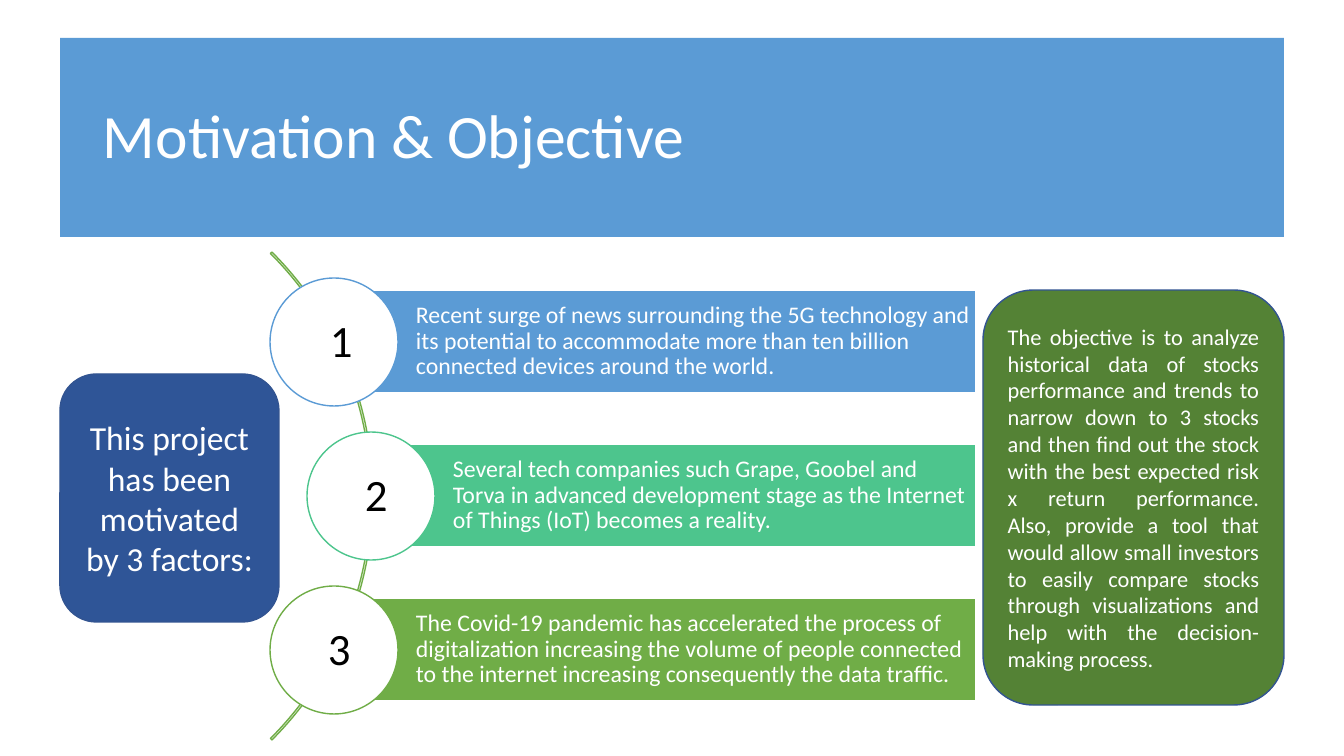
import copy
import pptx
import pptx.util
import pptx.dml.color
import pptx.enum.shapes
import pptx.enum.text
import pptx.oxml.ns

Kind = pptx.enum.shapes.MSO_SHAPE
Align = pptx.enum.text.PP_ALIGN
Anchor = pptx.enum.text.MSO_ANCHOR
scale = 914400 / 100.8  # EMU per px

deck = pptx.Presentation()
deck.slide_width = round(1344 * scale)
deck.slide_height = round(756 * scale)
slide = deck.slides.add_slide(deck.slide_layouts[6])


def draw(kind, box, fill=None, line=None):
    shape = slide.shapes.add_shape(kind, *[round(n * scale) for n in box])
    shape.shadow.inherit = False
    for part, tint in ((shape.fill, fill), (shape.line.fill, line)):
        if tint:
            part.solid()
            part.fore_color.rgb = pptx.dml.color.RGBColor.from_string(tint)
        else:
            part.background()
    if line:
        shape.line.width = pptx.util.Pt(1)
    return shape


def write(text, box=None, shape=None, size=17, tint="FFFFFF", align=Align.LEFT,
          anchor=Anchor.MIDDLE, wrap=True, space=None, inset=(10, 5, 10, 5)):
    if shape is None:
        shape = slide.shapes.add_textbox(*[round(n * scale) for n in box])
    frame = shape.text_frame
    frame.word_wrap = wrap
    frame.vertical_anchor = anchor
    (frame.margin_left, frame.margin_top, frame.margin_right,
     frame.margin_bottom) = [round(n * scale) for n in inset]
    para = frame.paragraphs[0]
    para.text = text
    para.alignment = align
    if space:
        para.line_spacing = space
    for run in para.runs:
        run.font.name = "Calibri"
        run.font.size = pptx.util.Pt(size)
        run.font.color.rgb = pptx.dml.color.RGBColor.from_string(tint)
    # Line breaks take the format of the text
    for gap in para._p.findall(pptx.oxml.ns.qn("a:br")):
        gap.append(copy.deepcopy(para.runs[0]._r.rPr))


# Title band
draw(Kind.RECTANGLE, (60, 38, 1224, 199), "5B9BD5")
write("Motivation & Objective", (93, 66, 1159, 146), size=44, space=0.9)

# Arc behind the factors
arc = draw(Kind.BLOCK_ARC, (-317, 151, 690, 690), line="70AD47")
for i, value in enumerate((189, 27, 0.003)):
    arc.adjustments[i] = value

# Factors: bar colour, indent, left edge of the number, text
rows = [
    ("5B9BD5", 0, 320,
     "Recent surge of news surrounding the 5G technology and its potential to "
     "accommodate more than ten billion connected devices around the world."),
    ("4DC58D", 37, 355,
     "Several tech companies such Grape, Goobel and Torva in advanced "
     "development stage as the Internet of Things (IoT) becomes a reality."),
    ("70AD47", 0, 318,
     "The Covid-19 pandemic has accelerated the process of digitalization "
     "increasing the volume of people connected to the internet increasing "
     "consequently the data traffic."),
]
for i, (tint, shift, left, text) in enumerate(rows):
    top = 290 + 154 * i
    bar = draw(Kind.RECTANGLE, (335 + shift, top, 641 - shift, 103), tint, "FFFFFF")
    write(text, shape=bar, space=0.9, inset=(81, 5, 5, 5))
    draw(Kind.OVAL, (270 + shift, top - 12, 128, 128), "FFFFFF", tint)
    write(str(i + 1), (left, top + 18, 43, 64), size=32, tint="000000",
          anchor=Anchor.TOP, wrap=False)

# Lead-in and objective
lead = draw(Kind.ROUNDED_RECTANGLE, (60, 374, 219, 248), "2F5597", "325491")
write("This project has been motivated by 3 factors:", shape=lead, size=24,
      align=Align.CENTER)
goal = draw(Kind.ROUNDED_RECTANGLE, (983, 290, 301, 415), "548235", "325491")
write("The objective is to analyze historical data of stocks performance and "
      "trends to narrow down to 3 stocks and then find out the stock with the "
      "best expected risk x return performance.\vAlso, provide a tool that would "
      "allow small investors to easily compare stocks through visualizations and "
      "help with the decision-making process.", shape=goal, size=16,
      align=Align.JUSTIFY)

deck.save("out.pptx")
